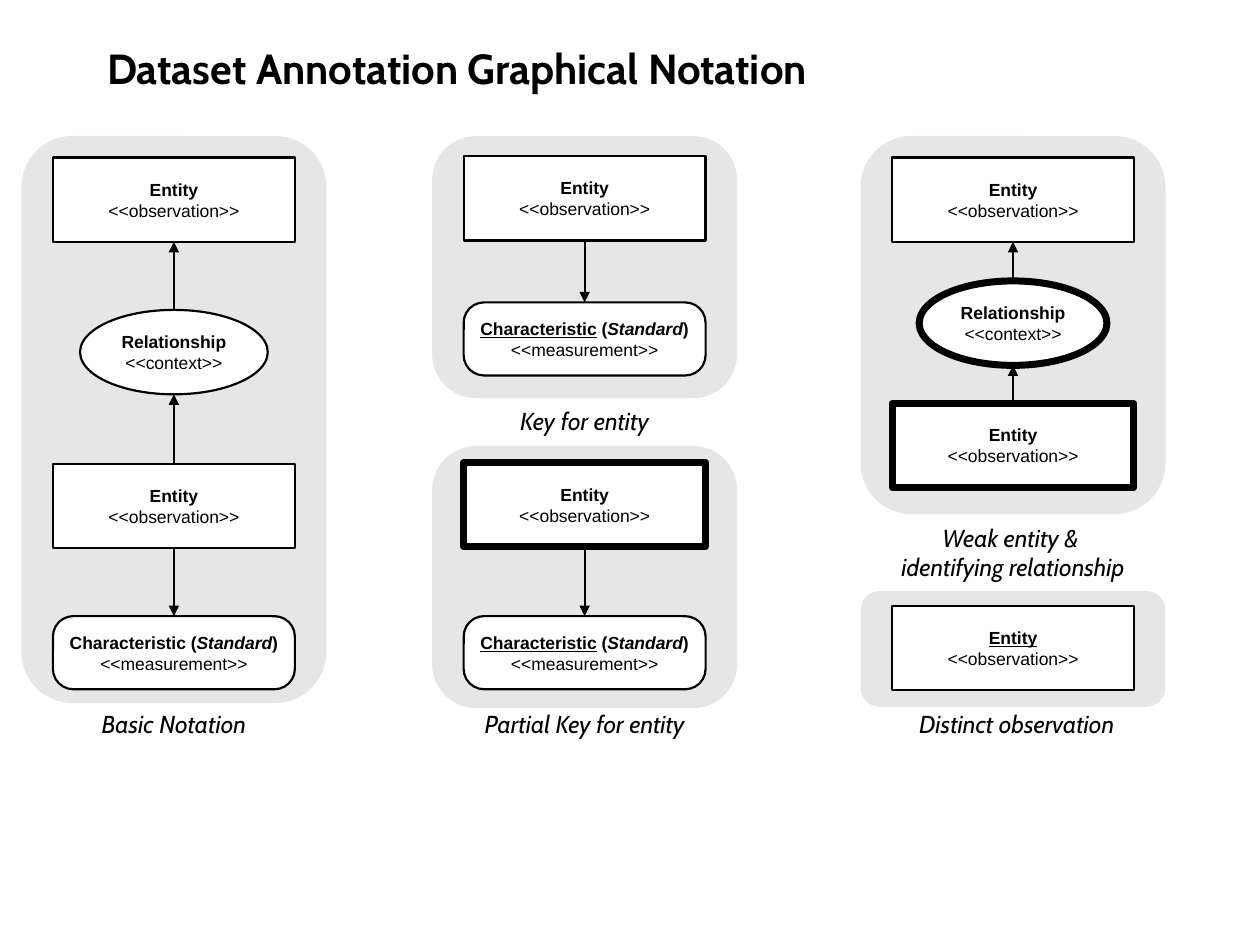
"""Builds the slide that explains the dataset annotation graphical notation."""
from lxml import etree
from pptx import Presentation, util as u
from pptx.dml.color import RGBColor
from pptx.enum import shapes, text
from pptx.oxml import ns

BLACK = RGBColor(0x00, 0x00, 0x00)
WHITE = RGBColor(0xFF, 0xFF, 0xFF)
PANEL_GREY = RGBColor(0xE6, 0xE6, 0xE6)
BASIC, KEYS, WEAK = 1.38, 4.64, 8.04
PANEL_WIDTH = 2.42
PANEL_RADIUS = 0.4
THIN, THICK = 1.25, 4
KINDS = {
    "entity": (shapes.MSO_SHAPE.RECTANGLE, 1.92, 0.67, "<<observation>>"),
    "relationship": (shapes.MSO_SHAPE.OVAL, 1.49, 0.67, "<<context>>"),
    "characteristic": (shapes.MSO_SHAPE.ROUNDED_RECTANGLE, 1.92, 0.58, "<<measurement>>"),
}


def style_run(run, font_name, size, bold=False, italic=False, underline=False):
    font = run.font
    font.name, font.size = font_name, u.Pt(size)
    font.bold, font.italic, font.underline = bold, italic, underline
    font.color.rgb = BLACK


def add_centred(slide, preset, centre, top, width, height, fill):
    shape = slide.shapes.add_shape(
        preset, u.Inches(centre - width / 2), u.Inches(top), u.Inches(width), u.Inches(height))
    shape.shadow.inherit = False
    shape.fill.solid()
    shape.fill.fore_color.rgb = fill
    return shape


def add_panel(slide, centre, top, height):
    panel = add_centred(slide, shapes.MSO_SHAPE.ROUNDED_RECTANGLE,
                        centre, top, PANEL_WIDTH, height, PANEL_GREY)
    panel.adjustments[0] = 0.167
    panel.line.fill.background()


def add_node(slide, kind, centre, top, weight=THIN, key=False):
    preset, width, height, stereotype = KINDS[kind]
    node = add_centred(slide, preset, centre, top, width, height, WHITE)
    node.line.color.rgb = BLACK
    node.line.width = u.Pt(weight)
    if kind == "characteristic":
        node.adjustments[0] = 0.279
    frame = node.text_frame
    frame.word_wrap = False
    frame.vertical_anchor = text.MSO_ANCHOR.MIDDLE
    frame.text = f"{kind.capitalize()}\n{stereotype}"
    name, role = frame.paragraphs
    style_run(name.runs[0], "Arial", 10, bold=True, underline=key)
    style_run(role.runs[0], "Arial", 10)
    if kind == "characteristic":
        for part in (" (", "Standard", ")"):
            run = name.add_run()
            run.text = part
            style_run(run, "Arial", 10, bold=True, italic=part == "Standard")
    for paragraph in frame.paragraphs:
        paragraph.alignment = text.PP_ALIGN.CENTER
    return node


def add_arrow(slide, source, target):
    centre = source.left + source.width // 2
    if source.top < target.top:
        start, end = source.top + source.height, target.top
    else:
        start, end = source.top, target.top + target.height
    arrow = slide.shapes.add_connector(
        shapes.MSO_CONNECTOR.STRAIGHT, centre, start, centre, end)
    arrow.line.color.rgb = BLACK
    arrow.line.width = u.Pt(THIN)
    etree.SubElement(arrow.line._get_or_add_ln(), ns.qn("a:tailEnd"), type="triangle")
    etree.SubElement(arrow._element.spPr, ns.qn("a:effectLst"))


def add_caption(slide, words, centre, top, width, height=0.34):
    caption = slide.shapes.add_textbox(
        u.Inches(centre - width / 2), u.Inches(top), u.Inches(width), u.Inches(height))
    frame = caption.text_frame
    frame.word_wrap = False
    frame.auto_size = text.MSO_AUTO_SIZE.SHAPE_TO_FIT_TEXT
    paragraph = frame.paragraphs[0]
    paragraph.text = words
    paragraph.alignment = text.PP_ALIGN.CENTER
    for run in paragraph.runs:
        style_run(run, "Cabin", 14, italic=True)


def add_title(slide, words):
    title = slide.shapes.title
    title.left, title.top = u.Inches(0.75), u.Inches(0.25)
    title.width, title.height = u.Inches(8.5), u.Inches(0.58)
    frame = title.text_frame
    frame.text = words
    frame.vertical_anchor = text.MSO_ANCHOR.MIDDLE
    frame.paragraphs[0].alignment = text.PP_ALIGN.LEFT
    style_run(frame.paragraphs[0].runs[0], "Cabin", 24, bold=True)


def add_basic_notation(slide):
    add_panel(slide, BASIC, 1.08, 4.5)
    observed = add_node(slide, "entity", BASIC, 1.25)
    relationship = add_node(slide, "relationship", BASIC, 2.46)
    related = add_node(slide, "entity", BASIC, 3.68)
    characteristic = add_node(slide, "characteristic", BASIC, 4.89)
    add_arrow(slide, relationship, observed)
    add_arrow(slide, related, relationship)
    add_arrow(slide, related, characteristic)
    add_caption(slide, "Basic Notation", BASIC, 5.58, 1.46)


def add_key(slide, words, panel_top, entity_top, characteristic_top, weight,
            caption_top, caption_width):
    add_panel(slide, KEYS, panel_top, 2.08)
    entity = add_node(slide, "entity", KEYS, entity_top, weight)
    characteristic = add_node(slide, "characteristic", KEYS, characteristic_top, key=True)
    add_arrow(slide, entity, characteristic)
    add_caption(slide, words, KEYS, caption_top, caption_width)


def add_weak_entity(slide):
    add_panel(slide, WEAK, 1.08, 3)
    owner = add_node(slide, "entity", WEAK, 1.25)
    relationship = add_node(slide, "relationship", WEAK, 2.23, THICK)
    weak = add_node(slide, "entity", WEAK, 3.2, THICK)
    add_arrow(slide, relationship, owner)
    add_arrow(slide, weak, relationship)
    add_caption(slide, "Weak entity & \videntifying relationship", WEAK, 4.1, 2.2, 0.57)


def add_distinct_observation(slide):
    add_panel(slide, WEAK, 4.69, 0.92)
    add_node(slide, "entity", WEAK, 4.81, key=True)
    add_caption(slide, "Distinct observation", WEAK + 0.03, 5.58, 1.92)


def main():
    deck = Presentation()
    deck.slide_width, deck.slide_height = u.Inches(10), u.Inches(7.5)
    slide = deck.slides.add_slide(deck.slide_layouts.get_by_name("Title Only"))
    add_title(slide, "Dataset Annotation Graphical Notation")
    add_basic_notation(slide)
    add_key(slide, "Key for entity", 1.08, 1.24, 2.4, THIN, 3.17, 1.33)
    add_key(slide, "Partial Key for entity", 3.54, 3.67, 4.89, THICK, 5.58, 1.95)
    add_weak_entity(slide)
    add_distinct_observation(slide)
    deck.save("out.pptx")


if __name__ == "__main__":
    main()
